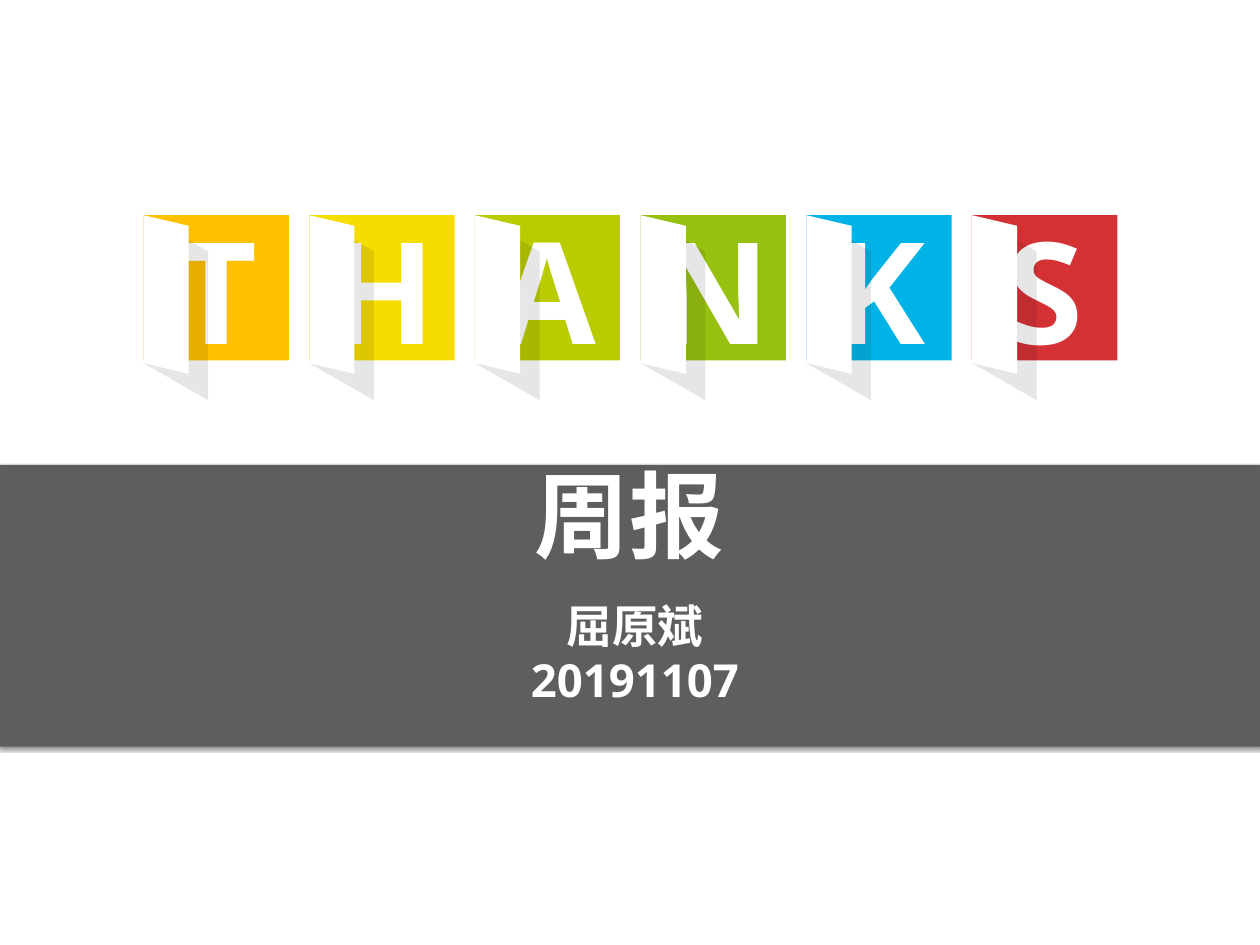
import pptx
import pptx.util
import pptx.dml.color
import pptx.enum.shapes
import pptx.enum.text
import pptx.oxml
import pptx.oxml.ns
import lxml.etree

Inches = pptx.util.Inches
Pt = pptx.util.Pt
ANCHOR = pptx.enum.text.MSO_ANCHOR
FIT = pptx.enum.text.MSO_AUTO_SIZE

COLORS = {
    "white": "FFFFFF",
    "band": "5E5E5E",
    "shade": "0D0D0D",
    "shadow": "000000",
    "amber": "FFC000",
    "yellow": "F5DD00",
    "lime": "BACB00",
    "green": "96C110",
    "blue": "00B3E6",
    "red": "D43135",
}
TILES = zip("THANKS", ("amber", "yellow", "lime", "green", "blue", "red"))


def write(shape, *lines, size, anchor=ANCHOR.TOP, fit=FIT.NONE, space=None):
    """Fill a shape with centred bold white lines."""
    frame = shape.text_frame
    frame.word_wrap = True
    frame.auto_size = fit
    frame.vertical_anchor = anchor
    frame.margin_left = frame.margin_right = Inches(0.05)
    frame.margin_top = frame.margin_bottom = Inches(0.05)
    frame.text = "\n".join(lines)
    for para in frame.paragraphs:
        para.alignment = pptx.enum.text.PP_ALIGN.CENTER
        para.space_before = Pt(0)
        if space:
            para.line_spacing = Pt(space)
        for run in para.runs:
            font = run.font
            font.name = "Noto Sans"
            font.size = Pt(size)
            font.bold = True
            font.color.rgb = pptx.dml.color.RGBColor.from_string(COLORS["white"])


def add(parent, tag, **attrs):
    return lxml.etree.SubElement(parent, pptx.oxml.ns.qn(tag), attrs)


class Page:
    def __init__(self, deck):
        self.slide = deck.slides.add_slide(deck.slide_layouts[0])
        self.shapes = self.slide.shapes

    def paint(self, shape, color, alpha=None):
        shape.shadow.inherit = False
        shape.line.fill.background()
        shape.fill.solid()
        shape.fill.fore_color.rgb = pptx.dml.color.RGBColor.from_string(COLORS[color])
        if alpha:
            tint = shape.element.spPr.find(".//" + pptx.oxml.ns.qn("a:srgbClr"))
            add(tint, "a:alpha", val=str(alpha * 1000))
        return shape

    def block(self, left, top, width, height, color):
        kind = pptx.enum.shapes.MSO_SHAPE.RECTANGLE
        shape = self.shapes.add_shape(
            kind, Inches(left), Inches(top), Inches(width), Inches(height))
        return self.paint(shape, color)

    def shade(self, shape):
        """Give a shape a soft shadow below."""
        effects = shape.element.spPr.find(pptx.oxml.ns.qn("a:effectLst"))
        outer = add(effects, "a:outerShdw", blurRad=str(Pt(3)), dist=str(Pt(2)),
                    dir="5400000", rotWithShape="0")
        tint = add(outer, "a:srgbClr", val=COLORS["shadow"])
        add(tint, "a:alpha", val="48000")

    def panel(self, left, top, width, height, drop, color, alpha=None):
        """Draw an open door whose free edge hangs lower by drop."""
        right, low = left + width, top + height
        points = [(right, top + drop), (right, low + drop), (left, low)]
        path = self.shapes.build_freeform(Inches(left), Inches(top))
        path.add_line_segments([(Inches(x), Inches(y)) for x, y in points])
        self.paint(path.convert_to_shape(), color, alpha)

    def label(self, left, top, width, height, text, **style):
        box = self.shapes.add_textbox(
            Inches(left), Inches(top), Inches(width), Inches(height))
        write(box, text, **style)

    def holder(self, index, left, top, width, height, *lines, **style):
        """Place a placeholder in front of what is drawn so far."""
        shape = self.slide.placeholders[index]
        shape.left, shape.top = Inches(left), Inches(top)
        shape.width, shape.height = Inches(width), Inches(height)
        shape.element.getparent().append(shape.element)
        write(shape, *lines, **style)


def main():
    deck = pptx.Presentation()
    deck.slide_width, deck.slide_height = Inches(14.22), Inches(10.67)
    page = Page(deck)

    page.shade(page.block(-0.03, 5.25, 14.28, 3.18, "band"))
    page.holder(0, 4.08, 5.35, 6.05, 1.07, "周报", size=77, space=75)
    page.holder(1, 5.46, 6.7, 3.41, 1.64, "屈原斌", "20191107", size=37)

    side, pitch = 1.64, 1.87
    for i, (letter, color) in enumerate(TILES):
        left = 1.62 + i * pitch
        page.block(left, 2.43, side, side, color)
        page.label(left, 2.24, side, 2.02, letter, size=115,
                   anchor=ANCHOR.MIDDLE, fit=FIT.SHAPE_TO_FIT_TEXT)
        page.panel(left, 2.42, 0.73, 1.68, 0.42, "shade", alpha=10)
        page.panel(left, 2.43, 0.51, 1.67, 0.12, "white")

    deck.save("out.pptx")


if __name__ == "__main__":
    main()
